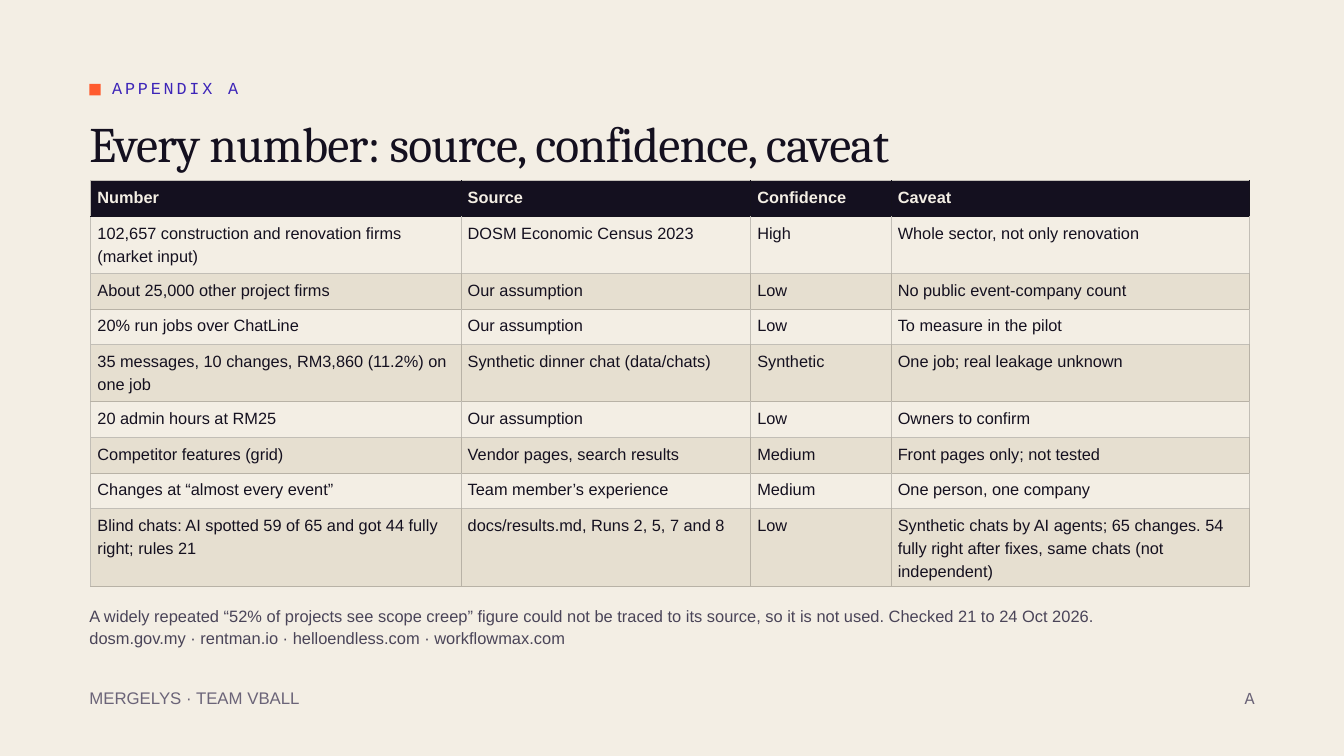
from lxml import etree
from pptx import Presentation
from pptx.dml.color import RGBColor
from pptx.enum.shapes import MSO_SHAPE
from pptx.oxml.ns import qn
from pptx.util import Inches, Pt

RECTANGLE = MSO_SHAPE.RECTANGLE

CREAM = RGBColor(0xF3, 0xEE, 0xE4)
SAND = RGBColor(0xE6, 0xDF, 0xD0)
INK = RGBColor(0x14, 0x10, 0x1F)
ORANGE = RGBColor(0xFF, 0x5B, 0x2E)
VIOLET = RGBColor(0x3D, 0x25, 0xB8)
SLATE = RGBColor(0x4A, 0x44, 0x58)
MUTED = RGBColor(0x6B, 0x64, 0x78)
HEADER_RULE = RGBColor(0x14, 0x11, 0x1C)
PLAIN_RULE = RGBColor(0xC2, 0xBE, 0xB6)
BAND_RULE = RGBColor(0xB8, 0xB2, 0xA6)

COLUMN_WIDTHS = [5.51, 4.31, 2.09, 5.34]
ROW_HEIGHTS = [0.53, 0.85, 0.53, 0.53, 0.85, 0.53, 0.53, 0.53, 1.16]
EVIDENCE = [
    ["Number", "Source", "Confidence", "Caveat"],
    ["102,657 construction and renovation firms (market input)",
     "DOSM Economic Census 2023", "High", "Whole sector, not only renovation"],
    ["About 25,000 other project firms", "Our assumption", "Low",
     "No public event-company count"],
    ["20% run jobs over ChatLine", "Our assumption", "Low", "To measure in the pilot"],
    ["35 messages, 10 changes, RM3,860 (11.2%) on one job",
     "Synthetic dinner chat (data/chats)", "Synthetic", "One job; real leakage unknown"],
    ["20 admin hours at RM25", "Our assumption", "Low", "Owners to confirm"],
    ["Competitor features (grid)", "Vendor pages, search results", "Medium",
     "Front pages only; not tested"],
    ["Changes at “almost every event”", "Team member’s experience", "Medium",
     "One person, one company"],
    ["Blind chats: AI spotted 59 of 65 and got 44 fully right; rules 21",
     "docs/results.md, Runs 2, 5, 7 and 8", "Low",
     "Synthetic chats by AI agents; 65 changes. 54 fully right after fixes, "
     "same chats (not independent)"],
]


def write(frame, text, size, color, leading, font="Arial", bold=False, tracking=0, inset=0.0):
    """Fill a text frame with one formatted paragraph per line of text."""
    frame.margin_left = frame.margin_right = Inches(inset)
    frame.margin_top = frame.margin_bottom = Inches(inset)
    for index, line in enumerate(text.split("\n")):
        paragraph = frame.add_paragraph() if index else frame.paragraphs[0]
        paragraph.line_spacing = Pt(leading)
        run = paragraph.add_run()
        run.text = line
        run.font.size = Pt(size)
        run.font.name = font
        run.font.bold = bold
        run.font.color.rgb = color
        if tracking:
            run.font._element.set("spc", str(round(tracking * 100)))


class AppendixSlide:
    """Holds the slide and draws each kind of element in the deck's style."""

    def __init__(self, slide):
        self.slide = slide
        slide.background.fill.solid()
        slide.background.fill.fore_color.rgb = CREAM

    def text(self, left, top, width, height, content, wrap=True, **style):
        """Place a text box."""
        box = self.slide.shapes.add_textbox(
            Inches(left), Inches(top), Inches(width), Inches(height))
        box.text_frame.word_wrap = wrap
        write(box.text_frame, content, **style)

    def marker(self, left, top, side):
        """Place a filled square."""
        square = self.slide.shapes.add_shape(
            RECTANGLE, Inches(left), Inches(top), Inches(side), Inches(side))
        square.shadow.inherit = False
        square.fill.solid()
        square.fill.fore_color.rgb = ORANGE
        square.line.fill.background()

    def borders(self, cell, **colors):
        """Draw one-point borders, keyed by side in L, R, T, B order."""
        properties = cell._tc.get_or_add_tcPr()
        for index, (side, color) in enumerate(colors.items()):
            line = etree.Element(qn(f"a:ln{side}"), w=str(Pt(1)))
            fill = etree.SubElement(line, qn("a:solidFill"))
            etree.SubElement(fill, qn("a:srgbClr"), val=str(color))
            properties.insert(index, line)

    def table(self, left, top, rows, widths, heights):
        """Place a ruled table with a dark header and banded rows."""
        table = self.slide.shapes.add_table(
            len(rows), len(widths), Inches(left), Inches(top),
            Inches(sum(widths)), Inches(sum(heights))).table
        for column, width in zip(table.columns, widths):
            column.width = Inches(width)
        rule_above = PLAIN_RULE
        for r, (values, height) in enumerate(zip(rows, heights)):
            table.rows[r].height = Inches(height)
            if r == 0:
                fill, rule = INK, HEADER_RULE
            elif r % 2:
                fill, rule = None, PLAIN_RULE
            else:
                fill, rule = SAND, BAND_RULE
            for c, value in enumerate(values):
                cell = table.cell(r, c)
                if fill is None:
                    cell.fill.background()
                else:
                    cell.fill.solid()
                    cell.fill.fore_color.rgb = fill
                write(cell.text_frame, value, size=17.5, leading=24.6, inset=0.06,
                      color=INK if r else CREAM, bold=r == 0)
                self.borders(cell, L=rule if c else PLAIN_RULE, R=rule, T=rule_above, B=rule)
            rule_above = rule


def main():
    """Build and save the appendix slide."""
    deck = Presentation()
    deck.slide_width, deck.slide_height = Inches(20), Inches(11.25)
    page = AppendixSlide(deck.slides.add_slide(deck.slide_layouts[6]))

    page.marker(1.33, 1.25, 0.17)
    page.text(1.67, 1.11, 2.3, 0.44, "APPENDIX A", wrap=False, size=18, color=VIOLET,
              leading=25.2, font="Courier New", tracking=3)
    page.text(1.33, 1.81, 17.85, 0.7, "Every number: source, confidence, caveat",
              size=53.2, color=INK, leading=54.2, font="Cambria", tracking=-0.8)
    page.table(1.35, 2.69, EVIDENCE, COLUMN_WIDTHS, ROW_HEIGHTS)
    page.text(1.33, 8.98, 17.85, 0.75,
              "A widely repeated “52% of projects see scope creep” figure could not be traced "
              "to its source, so it is not used. Checked 21 to 24 Oct 2026.\n"
              "dosm.gov.my · rentman.io · helloendless.com · workflowmax.com",
              size=17.6, color=SLATE, leading=23.8)
    page.text(1.33, 10.19, 16.09, 0.43, "MERGELYS · TEAM VBALL",
              size=18, color=MUTED, leading=24.3)
    page.text(18.52, 10.18, 0.23, 0.44, "A", wrap=False, size=18, color=MUTED,
              leading=25.2, font="Courier New")
    deck.save("out.pptx")


if __name__ == "__main__":
    main()
